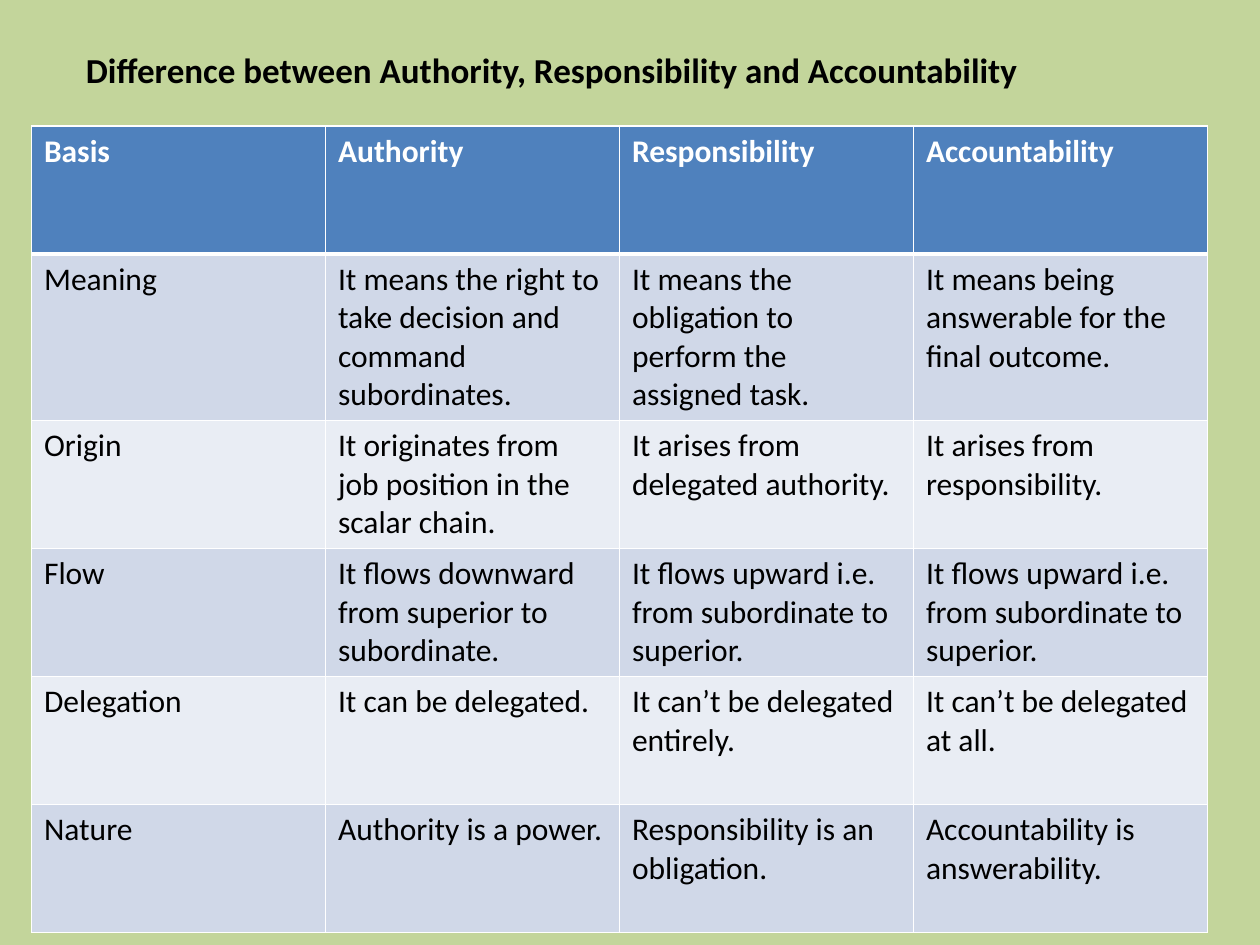
from lxml.etree import SubElement
from pptx import Presentation
from pptx.dml.color import RGBColor
from pptx.enum.text import MSO_AUTO_SIZE
from pptx.oxml.ns import qn
from pptx.util import Pt

ROWS = [
    ("Basis", "Authority", "Responsibility", "Accountability"),
    ("Meaning",
     "It means the right to take decision and command subordinates.",
     "It means the obligation to perform the assigned task.",
     "It means being answerable for the final outcome."),
    ("Origin",
     "It originates from job position in the scalar chain.",
     "It arises from delegated authority.",
     "It arises from responsibility."),
    ("Flow",
     "It flows downward from superior to subordinate.",
     "It flows upward i.e. from subordinate to superior.",
     "It flows upward i.e. from subordinate to superior."),
    ("Delegation",
     "It can be delegated.",
     "It can’t be delegated entirely.",
     "It can’t be delegated at all."),
    ("Nature",
     "Authority is a power.",
     "Responsibility is an obligation.",
     "Accountability is answerability."),
]


def color(value):
    return RGBColor.from_string(value)


def write(frame, text, size=18, ink="000000", bold=False, font="Calibri"):
    frame.word_wrap = True
    run = frame.paragraphs[0].add_run()
    run.text = text
    run.font.name = font
    run.font.size = Pt(size)
    run.font.bold = bold
    run.font.color.rgb = color(ink)


def add_border(cell, side, width, ink="FFFFFF"):
    """Draw one cell edge; side is L, R, T or B, in that order, before the fill."""
    properties = cell._tc.get_or_add_tcPr()
    edge = SubElement(properties, qn(f"a:ln{side}"), w=str(Pt(width)))
    SubElement(SubElement(edge, qn("a:solidFill")), qn("a:srgbClr"), val=ink)


class SlideBuilder:
    page = "C3D59B"
    header = "4F81BD"
    bands = ("E9EDF4", "D0D8E8")

    def __init__(self, slide):
        self.slide = slide
        background = slide.background.fill
        background.solid()
        background.fore_color.rgb = color(self.page)

    def title(self, text, left, top, width, height):
        heading = self.slide.shapes.add_textbox(Pt(left), Pt(top), Pt(width), Pt(height))
        write(heading.text_frame, text, size=20, bold=True)
        heading.text_frame.auto_size = MSO_AUTO_SIZE.SHAPE_TO_FIT_TEXT

    def table(self, rows, left, top, width, heights):
        comparison = self.slide.shapes.add_table(
            len(rows), len(rows[0]), Pt(left), Pt(top), Pt(width), Pt(sum(heights))).table
        for column in comparison.columns:
            column.width = Pt(width / len(rows[0]))
        for r, (texts, height) in enumerate(zip(rows, heights)):
            comparison.rows[r].height = Pt(height)
            for c, text in enumerate(texts):
                self.cell(comparison.cell(r, c), text, r)

    def cell(self, cell, text, row):
        is_header = row == 0
        write(cell.text_frame, text, bold=is_header,
              ink="FFFFFF" if is_header else "000000")
        edges = {"L": 1, "R": 1, "T": 3 if row == 1 else 1, "B": 3 if is_header else 1}
        for side, width in edges.items():
            add_border(cell, side, width)
        cell.fill.solid()
        cell.fill.fore_color.rgb = color(self.header if is_header else self.bands[row % 2])


def main():
    deck = Presentation()
    deck.slide_width, deck.slide_height = Pt(720), Pt(540)
    builder = SlideBuilder(deck.slides.add_slide(deck.slide_layouts[6]))
    builder.table(ROWS, 18, 72, 672, [73.15, 90] + [73.15] * 4)
    builder.title("Difference between Authority, Responsibility and Accountability",
                  42, 24, 630, 31.5)
    deck.save("out.pptx")


if __name__ == "__main__":
    main()
